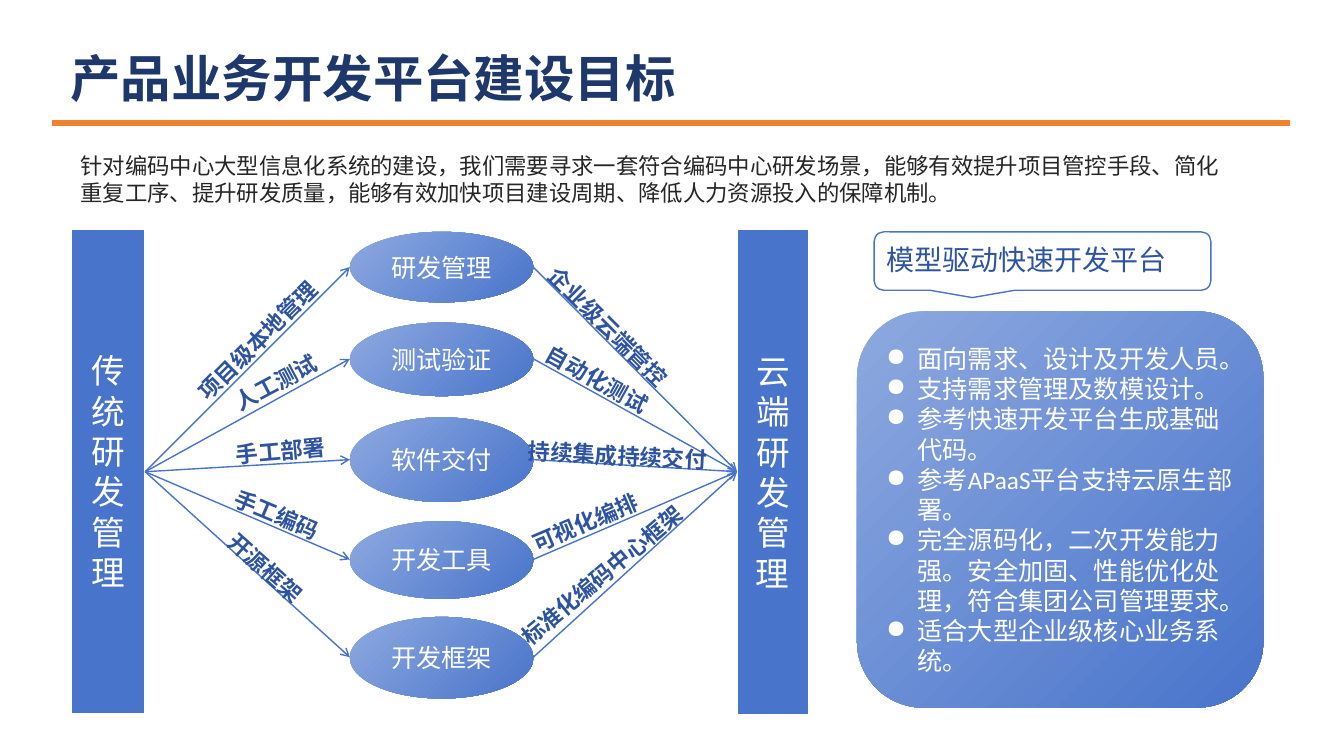
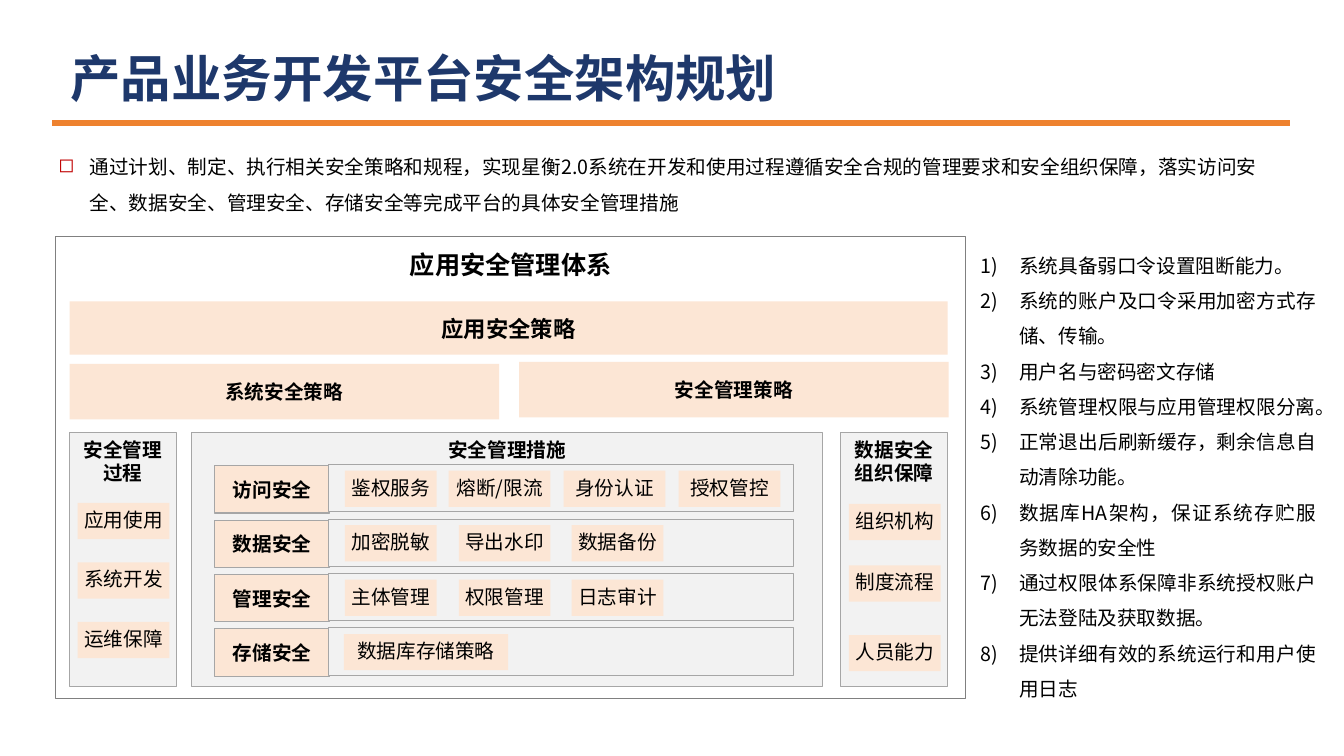
from pptx import Presentation
from pptx import util as u
from pptx.dml import color
from pptx.enum import shapes, text
from pptx.oxml import ns
from lxml import etree

# Lengths are px, 100 to the inch
SCALE = 9144
NAVY, BLUE, LIGHT_BLUE, INK_BLUE = "1E386B", "4874CB", "8EA9DF", "2E54A1"
ORANGE, PEACH, RED = "EE822F", "FCE6D5", "C00000"
WHITE, BLACK, DARK, PALE, GREY, EDGE = (
    "FFFFFF", "000000", "262626", "F2F2F2", "808080", "A6A6A6")
GRADIENT = (LIGHT_BLUE, BLUE)
CJK, LATIN, HEAD = "Noto Sans CJK SC", "Calibri", "DejaVu Sans"
KIND = shapes.MSO_SHAPE
TOP, MIDDLE = text.MSO_ANCHOR.TOP, text.MSO_ANCHOR.MIDDLE
LEFT, CENTER, JUSTIFY = (
    text.PP_ALIGN.LEFT, text.PP_ALIGN.CENTER, text.PP_ALIGN.JUSTIFY)
INSETS = (10, 5, 10, 5)


def px(length):
    return u.Emu(length * SCALE)


def rgb(code):
    return color.RGBColor.from_string(code)


def apply(target, values):
    for name, value in values.items():
        setattr(target, name, value)


def add_mark(parent, tag, **attributes):
    return etree.SubElement(parent, ns.qn(tag), attributes)


def set_bullet(para, bullet):
    """bullet: indent in px, element, its attributes, colour or None."""
    indent, tag, attributes, tint = bullet
    props = para._p.get_or_add_pPr()
    props.set("marL", str(px(indent)))
    props.set("indent", str(px(-indent)))
    if tint:
        add_mark(add_mark(props, "a:buClr"), "a:srgbClr", val=tint)
    add_mark(props, tag, **attributes)


def write(box, lines, size, tint, font=CJK, bold=False, align=LEFT,
          anchor=TOP, insets=INSETS, wrap=True, spacing=None, bullet=None):
    frame = box.text_frame
    left, top, right, bottom = map(px, insets)
    apply(frame, {"word_wrap": wrap, "vertical_anchor": anchor,
                  "margin_left": left, "margin_top": top,
                  "margin_right": right, "margin_bottom": bottom})
    for index, line in enumerate(lines):
        para = frame.add_paragraph() if index else frame.paragraphs[0]
        apply(para, {"alignment": align, "line_spacing": spacing})
        if bullet:
            set_bullet(para, bullet)
        span = para.add_run()
        span.text = line
        apply(span.font, {"size": u.Pt(size), "bold": bold, "name": font})
        span.font.color.rgb = rgb(tint)
        add_mark(span._r.get_or_add_rPr(), "a:ea", typeface=CJK)


def add_text(page, area, lines, size, tint, turn=0, **style):
    box = page.shapes.add_textbox(*map(px, area))
    box.rotation = turn
    write(box, lines, size, tint, **style)


def add_box(page, area, fill=None, line=None, width=0.75, kind=KIND.RECTANGLE):
    box = page.shapes.add_shape(kind, *map(px, area))
    box.shadow.inherit = False
    if isinstance(fill, tuple):
        box.fill.gradient()
        box.fill.gradient_angle = 315
        for stop, tint in zip(box.fill.gradient_stops, fill):
            stop.color.rgb = rgb(tint)
    elif fill:
        box.fill.solid()
        box.fill.fore_color.rgb = rgb(fill)
    else:
        box.fill.background()
    if line:
        box.line.color.rgb = rgb(line)
        box.line.width = u.Pt(width)
    else:
        box.line.fill.background()
    return box


def add_line(page, start, end, tint, width, arrow=False):
    line = page.shapes.add_connector(
        shapes.MSO_CONNECTOR.STRAIGHT, *map(px, start + end))
    line.line.color.rgb = rgb(tint)
    line.line.width = u.Pt(width)
    if arrow:
        add_mark(line.line._get_or_add_ln(), "a:tailEnd", type="arrow")
    add_mark(line._element.spPr, "a:effectLst")


def add_page(deck, title):
    page = deck.slides.add_slide(deck.slide_layouts[6])
    add_line(page, (52, 122), (1279, 122), ORANGE, 4.5)
    add_text(page, (70, 27, 1202, 99), [title], 36, NAVY, font=HEAD,
             bold=True, anchor=MIDDLE, insets=(0, 5, 10, 5))
    return page


def add_pillar(page, area, label):
    box = add_box(page, area, BLUE, WHITE, 1)
    write(box, [label], 24, WHITE, LATIN, align=CENTER, anchor=MIDDLE)


def add_block(page, area, label, size=14, line=None):
    box = add_box(page, area, PEACH, line)
    write(box, [label], size, BLACK, bold=True, align=CENTER, anchor=MIDDLE)


def add_panel(page, area, lines):
    box = add_box(page, area, PALE, EDGE)
    write(box, lines, 14, BLACK, bold=True, align=CENTER)


def add_chip(page, left, top, label, width=91):
    box = add_box(page, (left, top, width, 36), PEACH)
    write(box, [label], 14, BLACK, align=CENTER, insets=(0, 5, 0, 5))


def build_goals(deck):
    page = add_page(deck, "产品业务开发平台建设目标")
    add_text(page, (70, 146, 1171, 64), [
        "针对编码中心大型信息化系统的建设，我们需要寻求一套符合编码中心研发场景，"
        "能够有效提升项目管控手段、简化重复工序、提升研发质量，"
        "能够有效加快项目建设周期、降低人力资源投入的保障机制。"], 16, DARK)

    # Old and new ways of working, joined through five topics
    add_pillar(page, (71, 227, 73, 481), "传统研发管理")
    add_pillar(page, (731, 227, 71, 482), "云端研发管理")
    left, width = 347, 182
    topics = [("研发管理", 230, 70), ("测试验证", 320, 73), ("软件交付", 414, 84),
              ("开发工具", 517, 77), ("开发框架", 612, 81)]
    for label, top, height in topics:
        oval = add_box(page, (left, top, width, height), GRADIENT,
                       kind=KIND.OVAL)
        write(oval, [label], 18, WHITE, LATIN, align=CENTER, anchor=MIDDLE)
        middle = top + height // 2
        add_line(page, (144, 468), (left, middle), BLUE, 1, arrow=True)
        add_line(page, (left + width, middle), (731, 468), BLUE, 1, arrow=True)

    # Arrow captions
    captions = [
        ("项目级本地管理", (162, 304, 218, 37), 315),
        ("人工测试", (218, 347, 166, 44), 332),
        ("手工部署", (224, 427, 144, 37), 355),
        ("开源框架", (206, 552, 130, 37), 42),
        ("手工编码", (219, 498, 139, 37), 23),
        ("企业级云端管控", (513, 313, 195, 37), 45),
        ("自动化测试", (525, 365, 160, 37), 29),
        ("持续集成持续交付", (514, 434, 216, 43), 3),
        ("标准化编码中心框架", (489, 550, 224, 44), 320),
        ("可视化编排", (514, 496, 151, 34), 337),
    ]
    for label, area, turn in captions:
        add_text(page, area, [label], 16, INK_BLUE, turn, font=LATIN, bold=True)

    # Platform features
    card = add_box(page, (850, 309, 403, 393), GRADIENT,
                   kind=KIND.ROUNDED_RECTANGLE)
    write(card, [
        "面向需求、设计及开发人员。",
        "支持需求管理及数模设计。",
        "参考快速开发平台生成基础代码。",
        "参考APaaS平台支持云原生部署。",
        "完全源码化，二次开发能力强。安全加固、性能优化处理，符合集团公司管理要求。",
        "适合大型企业级核心业务系统。",
    ], 18, WHITE, LATIN, anchor=MIDDLE,
        bullet=(31, "a:buChar", {"char": "●"}, None))
    add_box(page, (867, 230, 334, 58), line=BLUE, width=1,
            kind=KIND.ROUNDED_RECTANGULAR_CALLOUT)
    add_text(page, (869, 236, 309, 45), ["模型驱动快速开发平台"], 20, INK_BLUE,
             font=LATIN)


def build_security(deck):
    page = add_page(deck, "产品业务开发平台安全架构规划")
    add_text(page, (48, 139, 1209, 77), [
        "通过计划、制定、执行相关安全策略和规程，"
        "实现星衡2.0系统在开发和使用过程遵循安全合规的管理要求和安全组织保障，"
        "落实访问安全、数据安全、管理安全、存储安全等完成平台的具体安全管理措施"],
        14, BLACK, anchor=MIDDLE, spacing=1.5,
        bullet=(31, "a:buChar", {"char": "◻"}, RED))

    # Framework and policies
    frame = add_box(page, (55, 235, 903, 458), line=GREY)
    write(frame, ["应用安全管理体系"], 18, BLACK, bold=True, align=CENTER,
          insets=(10, 12, 10, 5), wrap=False)
    add_block(page, (69, 299, 871, 53), "应用安全策略", 16)
    add_block(page, (69, 361, 426, 55), "系统安全策略")
    add_block(page, (515, 359, 426, 55), "安全管理策略")

    # Side panels: left, heading, chips with their tops
    sides = [
        (69, ["安全管理", "过程"],
         [("应用使用", 499), ("系统开发", 558), ("运维保障", 617)]),
        (834, ["数据安全组织保障"],
         [("组织机构", 500), ("制度流程", 561), ("人员能力", 630)]),
    ]
    for left, heading, chips in sides:
        add_panel(page, (left, 429, 106, 252), heading)
        for label, top in chips:
            add_chip(page, left + 8, top, label)

    # Measures: chips with their left and width
    add_panel(page, (190, 429, 626, 252), ["安全管理措施"])
    measures = [
        ("访问安全", [("鉴权服务", 342, 91), ("熔断/限流", 445, 101),
                  ("身份认证", 559, 101), ("授权管控", 673, 101)]),
        ("数据安全", [("加密脱敏", 342, 91), ("导出水印", 455, 91),
                  ("数据备份", 567, 91)]),
        ("管理安全", [("主体管理", 342, 91), ("权限管理", 455, 91),
                  ("日志审计", 567, 91)]),
        ("存储安全", [("数据库存储策略", 341, 163)]),
    ]
    for row, (heading, chips) in enumerate(measures):
        top = 462 + 54 * row
        add_block(page, (213, top, 114, 47), heading, line=EDGE)
        add_box(page, (326, top - 1, 461, 47), PALE, EDGE)
        for label, left, width in chips:
            add_chip(page, left, top + 5, label, width)

    # Requirements
    notes = add_box(page, (963, 235, 352, 465), WHITE)
    write(notes, [
        "系统具备弱口令设置阻断能力。",
        "系统的账户及口令采用加密方式存储、传输。",
        "用户名与密码密文存储",
        "系统管理权限与应用管理权限分离。",
        "正常退出后刷新缓存，剩余信息自动清除功能。",
        "数据库HA架构，保证系统存贮服务数据的安全性",
        "通过权限体系保障非系统授权账户无法登陆及获取数据。",
        "提供详细有效的系统运行和用户使用日志",
    ], 14, BLACK, align=JUSTIFY, spacing=1.5,
        bullet=(38, "a:buAutoNum", {"type": "arabicParenR"}, None))


def main():
    deck = Presentation()
    apply(deck, {"slide_width": px(1333), "slide_height": px(750)})
    build_goals(deck)
    build_security(deck)
    deck.save("out.pptx")


if __name__ == "__main__":
    main()
